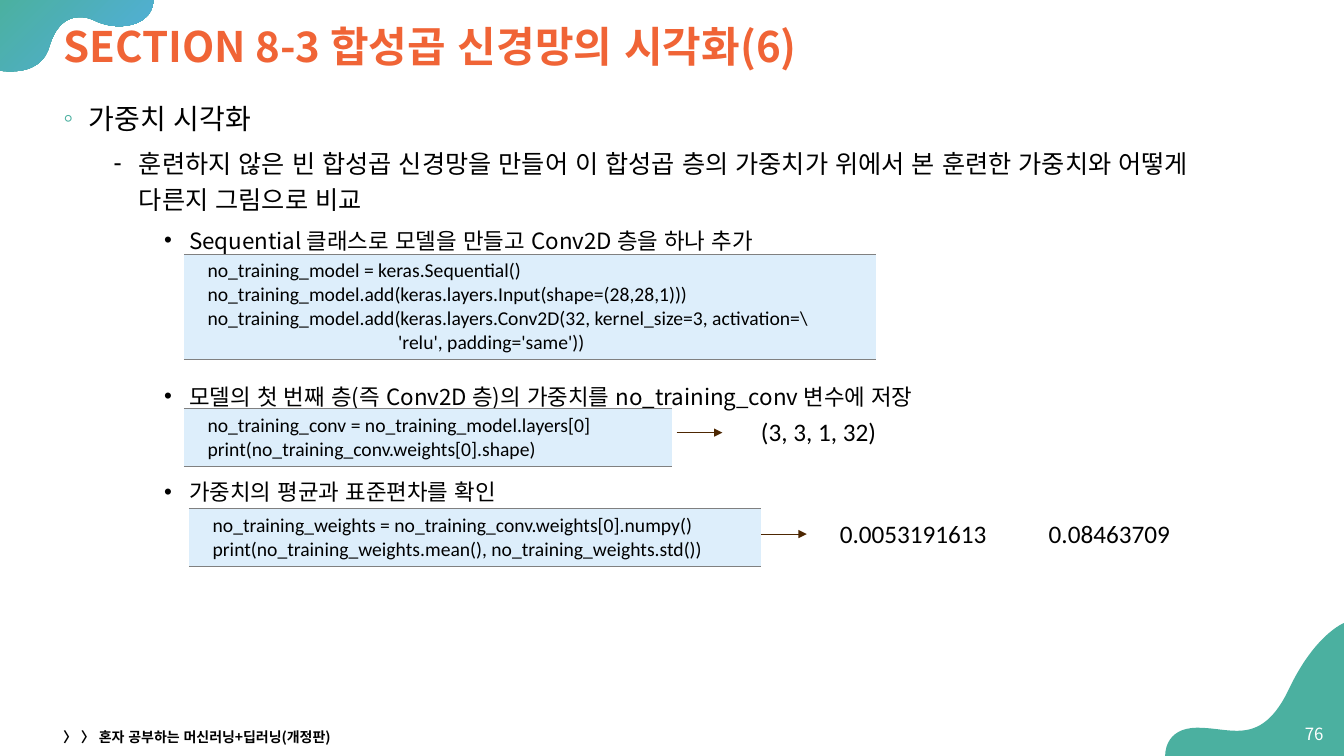
from dataclasses import dataclass
from typing import Optional

from lxml import etree
from pptx import Presentation
from pptx.dml.color import RGBColor
from pptx.enum import lang, shapes, text
from pptx.oxml import ns
from pptx.util import Pt

KOREAN_FONT = "Noto Sans CJK KR"
CODE_FONT = "Calibri"
BLACK, WHITE, ORANGE = "000000", "FFFFFF", "F06436"
TEAL, BLUE, CODE_FILL, RULE_GRAY, BROWN = "4BB0A0", "52AEE1", "DDEEFB", "808080", "4D2702"
Point = tuple[float, float]


@dataclass
class Bullet:
    wording: str
    level: int
    size: float
    space_before: float
    mark: str
    mark_color: Optional[str] = None


@dataclass
class CodeBox:
    left: float
    top: float
    width: float
    height: float
    lines: list[str]


@dataclass
class Label:
    left: float
    top: float
    width: float
    height: float
    wording: str
    size: float
    font: str = CODE_FONT
    color: str = BLACK
    bold: bool = False
    align: text.PP_ALIGN = text.PP_ALIGN.LEFT
    anchor: text.MSO_ANCHOR = text.MSO_ANCHOR.TOP


BULLETS = [
    Bullet("가중치 시각화", 0, 20, 0, "◦", TEAL),
    Bullet("훈련하지 않은 빈 합성곱 신경망을 만들어 이 합성곱 층의 가중치가 위에서 본 훈련한 "
           "가중치와 어떻게 다른지 그림으로 비교", 1, 18, 5, "⁃"),
    Bullet("Sequential 클래스로 모델을 만들고 Conv2D 층을 하나 추가", 2, 16, 5, "•"),
    Bullet("모델의 첫 번째 층(즉 Conv2D 층)의 가중치를 no_training_conv 변수에 저장", 2, 16, 88.4, "•"),
    Bullet("가중치의 평균과 표준편차를 확인", 2, 16, 45, "•"),
]
CODE_BOXES = [
    CodeBox(131.3, 181.5, 494.5, 74.2, [
        "no_training_model = keras.Sequential()",
        "no_training_model.add(keras.layers.Input(shape=(28,28,1)))",
        "no_training_model.add(keras.layers.Conv2D(32, kernel_size=3, activation=\\",
        "                                           'relu', padding='same'))"]),
    CodeBox(131.3, 292, 348.5, 41, [
        "no_training_conv = no_training_model.layers[0]",
        "print(no_training_conv.weights[0].shape)"]),
    CodeBox(134.9, 363.5, 409, 41, [
        "no_training_weights = no_training_conv.weights[0].numpy()",
        "print(no_training_weights.mean(), no_training_weights.std())"]),
]
MIDDLE = text.MSO_ANCHOR.MIDDLE
LABELS = [
    Label(536.5, 293.8, 200, 29, "(3, 3, 1, 32)", 18),
    Label(592.8, 367, 140, 29, "0.0053191613", 18),
    Label(742, 367, 130, 29, "0.08463709", 18),
    Label(921, 510, 31.5, 28.8, "76", 12, KOREAN_FONT, WHITE,
          align=text.PP_ALIGN.RIGHT, anchor=MIDDLE),
    Label(38, 517.7, 324, 17.3, "〉 〉 혼자 공부하는 머신러닝+딥러닝(개정판)", 10, KOREAN_FONT,
          bold=True, anchor=MIDDLE),
]
ARROWS = [(483.3, 309), (543.6, 381.5)]
ARROW_LENGTH = 32.7

# Corner outlines: one point is a straight segment, three points are a curve
TOP_CORNER = [
    [(109.5, 0)], [(0, 0)], [(0, 50.5)],
    [(0, 50.5), (3, 51), (8, 51)], [(17.3, 51), (31, 48.2), (35.3, 33)],
    [(40.3, 16.6), (49, 12.2), (57, 12.2)], [(60.5, 12.2), (64, 13), (67, 14.4)],
    [(72.7, 17.3), (79.2, 18.7), (85, 18.7)], [(98.6, 18.7), (109.5, 12.2), (109.5, 0)],
]
BOTTOM_CORNER = [
    [(960, 445)],
    [(960, 445), (939, 453), (920.2, 493.2)], [(908.6, 517), (896.4, 522), (883.4, 522)],
    [(874.8, 522), (865.4, 519.8), (855.4, 519.8)], [(831, 519.8), (832.3, 540), (832.3, 540)],
    [(960, 540)],
]


def rgb(color: str) -> RGBColor:
    return RGBColor.from_string(color)


def add_xml(parent, tag: str, **attributes: str):
    return etree.SubElement(parent, ns.qn(tag), attributes)


def format_runs(paragraph, size: float, font: str, color: str, bold: bool = False) -> None:
    for run in paragraph.runs:
        run.font.size, run.font.name, run.font.bold = Pt(size), font, bold
        run.font.color.rgb = rgb(color)
        add_xml(run.font._element, "a:ea", typeface=font)
        if font == KOREAN_FONT:
            run.font.language_id = lang.MSO_LANGUAGE_ID.KOREAN
            run.font._element.set("kern", "0")


def add_corner(slide, outline: list[list[Point]]):
    ends = [(Pt(x), Pt(y)) for x, y in (segment[-1] for segment in outline)]
    builder = slide.shapes.build_freeform(*ends[0])
    builder.add_line_segments(ends[1:], close=True)
    shape = builder.convert_to_shape()
    # Bend the segments that have control points
    lines = list(shape._element.iter(ns.qn("a:lnTo")))
    for line, segment in zip(lines, outline[1:]):
        if len(segment) == 3:
            curve = etree.Element(ns.qn("a:cubicBezTo"))
            for x, y in segment:
                add_xml(curve, "a:pt", x=str(Pt(x) - shape.left), y=str(Pt(y) - shape.top))
            line.getparent().replace(line, curve)
    shape.shadow.inherit = False
    shape.line.fill.background()
    shape.fill.solid()
    shape.fill.fore_color.rgb = rgb(TEAL)
    slide.shapes._spTree.insert(2, shape._element)  # behind the placeholders
    return shape


def place(shape, left: float, top: float, width: float, height: float) -> None:
    shape.left, shape.top, shape.width, shape.height = Pt(left), Pt(top), Pt(width), Pt(height)


def fill_title(title) -> None:
    place(title, 38, 8.6, 888.5, 52.6)
    frame = title.text_frame
    frame.text = "SECTION 8-3 합성곱 신경망의 시각화(6)"
    frame.auto_size, frame.vertical_anchor = text.MSO_AUTO_SIZE.NONE, MIDDLE
    paragraph = frame.paragraphs[0]
    paragraph.alignment, paragraph.line_spacing = text.PP_ALIGN.LEFT, 0.9
    format_runs(paragraph, 30, KOREAN_FONT, ORANGE, True)


def fill_body(body) -> None:
    place(body, 38, 64, 858.2, 429)
    frame = body.text_frame
    frame.text = "\n".join(bullet.wording for bullet in BULLETS)
    frame.auto_size, frame.vertical_anchor = text.MSO_AUTO_SIZE.NONE, text.MSO_ANCHOR.TOP
    for paragraph, bullet in zip(frame.paragraphs, BULLETS):
        paragraph.level, paragraph.line_spacing = bullet.level, 1.2
        paragraph.space_before = Pt(bullet.space_before)
        properties = paragraph._p.get_or_add_pPr()
        properties.set("marL", str(Pt(18 + 36 * bullet.level)))
        properties.set("indent", str(-Pt(18)))
        if bullet.mark_color:
            add_xml(add_xml(properties, "a:buClr"), "a:srgbClr", val=bullet.mark_color)
        add_xml(properties, "a:buChar", char=bullet.mark)
        format_runs(paragraph, bullet.size, KOREAN_FONT, BLACK)


def add_code(slide, box: CodeBox) -> None:
    table = slide.shapes.add_table(1, 1, Pt(box.left), Pt(box.top), Pt(box.width), Pt(box.height)).table
    table.first_row = table.horz_banding = False
    cell = table.cell(0, 0)
    cell.margin_left, cell.margin_right = Pt(17), Pt(7.2)
    cell.margin_top = cell.margin_bottom = Pt(3.6)
    properties = cell._tc.get_or_add_tcPr()
    for side in ("L", "R", "T", "B"):
        border = add_xml(properties, f"a:ln{side}", w=str(Pt(1)))
        if side in "TB":
            add_xml(add_xml(border, "a:solidFill"), "a:srgbClr", val=RULE_GRAY)
        else:
            add_xml(border, "a:noFill")
    cell.fill.solid()
    cell.fill.fore_color.rgb = rgb(CODE_FILL)
    cell.text_frame.text = "\n".join(box.lines)
    for paragraph in cell.text_frame.paragraphs:
        format_runs(paragraph, 14, CODE_FONT, BLACK)


def add_label(slide, label: Label) -> None:
    shape = slide.shapes.add_textbox(Pt(label.left), Pt(label.top), Pt(label.width), Pt(label.height))
    frame = shape.text_frame
    frame.word_wrap, frame.vertical_anchor = True, label.anchor
    frame.text = label.wording
    frame.paragraphs[0].alignment = label.align
    format_runs(frame.paragraphs[0], label.size, label.font, label.color, label.bold)


def add_arrow(slide, left: float, top: float) -> None:
    arrow = slide.shapes.add_connector(shapes.MSO_CONNECTOR.STRAIGHT, Pt(left), Pt(top),
                                       Pt(left + ARROW_LENGTH), Pt(top))
    arrow.line.color.rgb, arrow.line.width = rgb(BROWN), Pt(0.5)
    add_xml(arrow.line._get_or_add_ln(), "a:tailEnd", type="triangle")
    add_xml(arrow._element.spPr, "a:effectLst")


def main() -> None:
    presentation = Presentation()
    presentation.slide_width, presentation.slide_height = Pt(960), Pt(540)
    slide = presentation.slides.add_slide(presentation.slide_layouts[1])
    # Corner decorations
    add_corner(slide, BOTTOM_CORNER)
    top_fill = add_corner(slide, TOP_CORNER).fill
    top_fill.gradient()
    top_fill.gradient_angle = 315
    for stop, color, position in zip(top_fill.gradient_stops, (TEAL, BLUE), (0, 1)):
        stop.color.rgb, stop.position = rgb(color), position
    # Title and bullets
    fill_title(slide.shapes.title)
    fill_body(slide.placeholders[1])
    # Code, arrows to the results, and labels
    for box in CODE_BOXES:
        add_code(slide, box)
    for left, top in ARROWS:
        add_arrow(slide, left, top)
    for label in LABELS:
        add_label(slide, label)
    presentation.save("out.pptx")


if __name__ == "__main__":
    main()
